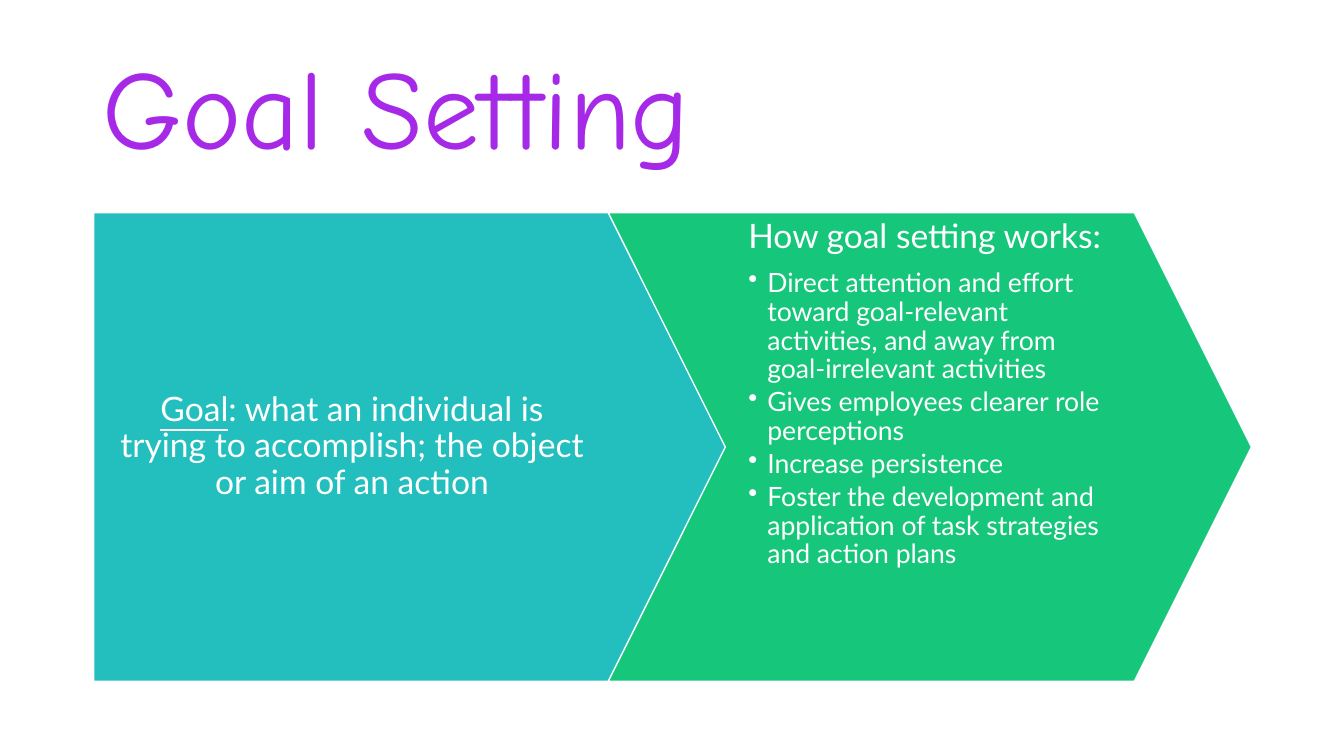
"""Build the Goal Setting slide with two interlocking arrow panels."""
from dataclasses import dataclass

import lxml.etree
import pptx
import pptx.dml.color
import pptx.enum.shapes
import pptx.enum.text
import pptx.oxml.ns
import pptx.slide
import pptx.text.text
import pptx.util

Cm = pptx.util.Cm
Pt = pptx.util.Pt
RGBColor = pptx.dml.color.RGBColor
Align = pptx.enum.text.PP_ALIGN
Anchor = pptx.enum.text.MSO_ANCHOR
Preset = pptx.enum.shapes.MSO_SHAPE

WHITE = RGBColor(0xFF, 0xFF, 0xFF)
PURPLE = RGBColor(0xA6, 0x29, 0xE7)
TEAL = RGBColor(0x22, 0xBF, 0xBE)
GREEN = RGBColor(0x16, 0xC6, 0x7B)

PANEL_LEFT, PANEL_TOP = 2.36, 5.36
PANEL_WIDTH, PANEL_HEIGHT = 16.21, 11.81
PANEL_STEP = 0.8 * PANEL_WIDTH
BULLET_INDENT = Cm(0.48)

TITLE_FONT = {"name": "Comic Neue", "size": Pt(80), "bold": False}
LEAD_FONT = {"name": "Lato", "size": Pt(24)}
BULLET_FONT = {"name": "Lato", "size": Pt(19)}


@dataclass(frozen=True)
class Panel:
    """One arrow-shaped panel and its text."""

    preset: Preset
    fill: RGBColor
    anchor: Anchor
    align: Align
    right_inset: float
    term: str
    lead: str
    bullets: tuple[str, ...] = ()


PANELS = (
    Panel(Preset.PENTAGON, TEAL, Anchor.MIDDLE, Align.CENTER, 2.29, "Goal",
          ": what an individual is trying to accomplish; the object or aim of an action"),
    Panel(Preset.CHEVRON, GREEN, Anchor.TOP, Align.LEFT, 0.58, "",
          "How goal setting works:", (
              "Direct attention and effort toward goal-relevant activities, "
              "and away from goal-irrelevant activities",
              "Gives employees clearer role perceptions",
              "Increase persistence",
              "Foster the development and application of task strategies and action plans",
          )),
)


def apply_format(target: object, values: dict) -> None:
    """Set every attribute named in a dict of format values."""
    for name, value in values.items():
        setattr(target, name, value)


def style_paragraph(paragraph: pptx.text.text._Paragraph, font: dict,
                    color: RGBColor, layout: dict) -> None:
    """Format a paragraph and its font."""
    apply_format(paragraph, {"line_spacing": 0.9, "space_before": Pt(0), **layout})
    apply_format(paragraph.font, font)
    paragraph.font.color.rgb = color


def add_bullet(frame: pptx.text.text.TextFrame, text: str) -> None:
    """Append a bulleted paragraph."""
    paragraph = frame.add_paragraph()
    paragraph.text = text
    properties = paragraph._p.get_or_add_pPr()
    properties.set("marL", str(BULLET_INDENT))
    properties.set("indent", str(-BULLET_INDENT))
    bullet = lxml.etree.SubElement(properties, pptx.oxml.ns.qn("a:buChar"))
    bullet.set("char", "•")
    style_paragraph(paragraph, BULLET_FONT, WHITE,
                    {"level": 1, "alignment": Align.LEFT, "space_after": Pt(3)})


def add_title(slide: pptx.slide.Slide) -> None:
    """Place and format the slide title."""
    title = slide.shapes.title
    apply_format(title, {"left": Cm(2.33), "top": Cm(1.01),
                         "width": Cm(29.21), "height": Cm(3.68)})
    frame = title.text_frame
    frame.text = "Goal Setting"
    apply_format(frame, {"vertical_anchor": Anchor.MIDDLE, "word_wrap": True,
                         "auto_size": pptx.enum.text.MSO_AUTO_SIZE.NONE})
    style_paragraph(frame.paragraphs[0], TITLE_FONT, PURPLE, {"alignment": Align.LEFT})


def add_panel(slide: pptx.slide.Slide, panel: Panel, position: int) -> None:
    """Draw one panel at its place in the row."""
    shape = slide.shapes.add_shape(
        panel.preset, Cm(PANEL_LEFT + position * PANEL_STEP), Cm(PANEL_TOP),
        Cm(PANEL_WIDTH), Cm(PANEL_HEIGHT))
    shape.adjustments[0] = 0.25
    shape.shadow.inherit = False
    shape.fill.solid()
    shape.fill.fore_color.rgb = panel.fill
    shape.line.color.rgb = WHITE
    shape.line.width = Pt(1)

    frame = shape.text_frame
    apply_format(frame, {
        "word_wrap": True, "vertical_anchor": panel.anchor,
        "margin_left": Cm(0.58), "margin_right": Cm(panel.right_inset),
        "margin_top": Cm(0.17), "margin_bottom": Cm(0.17)})
    paragraph = frame.paragraphs[0]
    if panel.term:
        term = paragraph.add_run()
        term.text = panel.term
        term.font.underline = True
    paragraph.add_run().text = panel.lead
    style_paragraph(paragraph, LEAD_FONT, WHITE,
                    {"alignment": panel.align, "space_after": Pt(10)})
    for text in panel.bullets:
        add_bullet(frame, text)


def main() -> None:
    """Create and save the presentation."""
    presentation = pptx.Presentation()
    apply_format(presentation, {"slide_width": Cm(33.87), "slide_height": Cm(19.05)})
    slide = presentation.slides.add_slide(presentation.slide_layouts[5])
    slide.background.fill.solid()
    slide.background.fill.fore_color.rgb = WHITE
    add_title(slide)
    for position, panel in enumerate(PANELS):
        add_panel(slide, panel, position)
    presentation.save("out.pptx")


if __name__ == "__main__":
    main()
